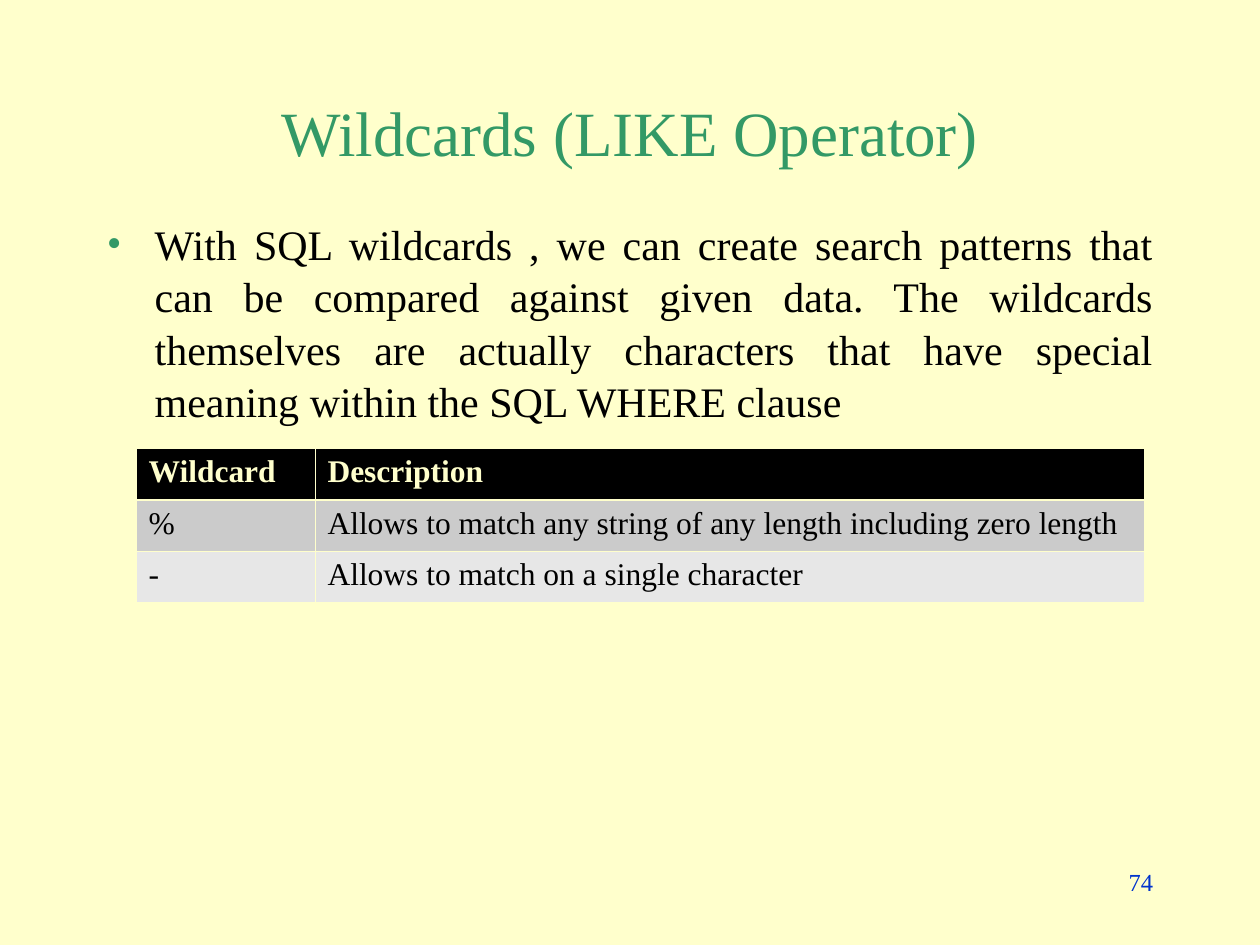
from pptx import Presentation
from pptx.dml.color import RGBColor
from pptx.enum.text import MSO_ANCHOR, PP_ALIGN
from pptx.oxml.ns import qn
from pptx.util import Inches, Pt
from lxml.etree import SubElement

CREAM = RGBColor(0xFF, 0xFF, 0xCC)
GREEN = RGBColor(0x33, 0x99, 0x66)
BLUE = RGBColor(0x00, 0x33, 0xCC)
BLACK = RGBColor(0x00, 0x00, 0x00)
GREY = RGBColor(0xCB, 0xCB, 0xCB)
LIGHT_GREY = RGBColor(0xE7, 0xE7, 0xE7)
FONT = "Times New Roman"


def style(p, size, color, align=PP_ALIGN.LEFT, bold=False):
    p.alignment = align
    for r in p.runs:
        r.font.name = FONT
        r.font.size = Pt(size)
        r.font.bold = bold
        r.font.color.rgb = color


def add_text(text, left, top, width, height, size, color, align):
    tf = s.shapes.add_textbox(Inches(left), Inches(top), Inches(width), Inches(height)).text_frame
    tf.word_wrap = True
    tf.text = text
    style(tf.paragraphs[0], size, color, align)
    return tf


prs = Presentation()
prs.slide_width = Inches(10)
prs.slide_height = Inches(7.5)
s = prs.slides.add_slide(prs.slide_layouts[6])
s.background.fill.solid()
s.background.fill.fore_color.rgb = CREAM

title = add_text("Wildcards (LIKE Operator)", 0.75, 0.67, 8.5, 0.75, 36, GREEN, PP_ALIGN.CENTER)
title.vertical_anchor = MSO_ANCHOR.MIDDLE

body = add_text(
    "With SQL wildcards , we can create search patterns that can be compared against "
    "given data. The wildcards themselves are actually characters that have special "
    "meaning within the SQL WHERE clause",
    0.75, 1.67, 8.5, 5, 24, BLACK, PP_ALIGN.JUSTIFY)
p = body.paragraphs[0]
p.line_spacing = 1.04
pPr = p._p.get_or_add_pPr()
pPr.set("marL", str(Inches(0.38)))
pPr.set("indent", str(Inches(-0.38)))
SubElement(SubElement(pPr, qn("a:buClr")), qn("a:srgbClr"), val=str(GREEN))
SubElement(pPr, qn("a:buFont"), typeface=FONT)
SubElement(pPr, qn("a:buChar"), char="•")

add_text("74", 7.17, 6.83, 2.08, 0.5, 14, BLUE, PP_ALIGN.RIGHT)

rows = [
    ("Wildcard", "Description"),
    ("%", "Allows to match any string of any length including zero length"),
    ("-", "Allows to match on a single character"),
]
row_fills = [BLACK, GREY, LIGHT_GREY]
table = s.shapes.add_table(3, 2, Inches(1.08), Inches(3.56), Inches(8), Inches(1.22)).table
for column, width in zip(table.columns, (1.42, 6.58)):
    column.width = Inches(width)

for i, (texts, fill) in enumerate(zip(rows, row_fills)):
    header = i == 0
    for j, text in enumerate(texts):
        cell = table.cell(i, j)
        cell.text = text
        style(cell.text_frame.paragraphs[0], 18, CREAM if header else BLACK, bold=header)
        tcPr = cell._tc.get_or_add_tcPr()
        for side in ("lnL", "lnR", "lnT", "lnB"):
            under_header = (i, side) in ((0, "lnB"), (1, "lnT"))
            ln = SubElement(tcPr, qn(f"a:{side}"), w=str(Pt(1.47 if under_header else 0.45)))
            SubElement(SubElement(ln, qn("a:solidFill")), qn("a:srgbClr"), val=str(CREAM))
        cell.fill.solid()
        cell.fill.fore_color.rgb = fill

prs.save("out.pptx")
